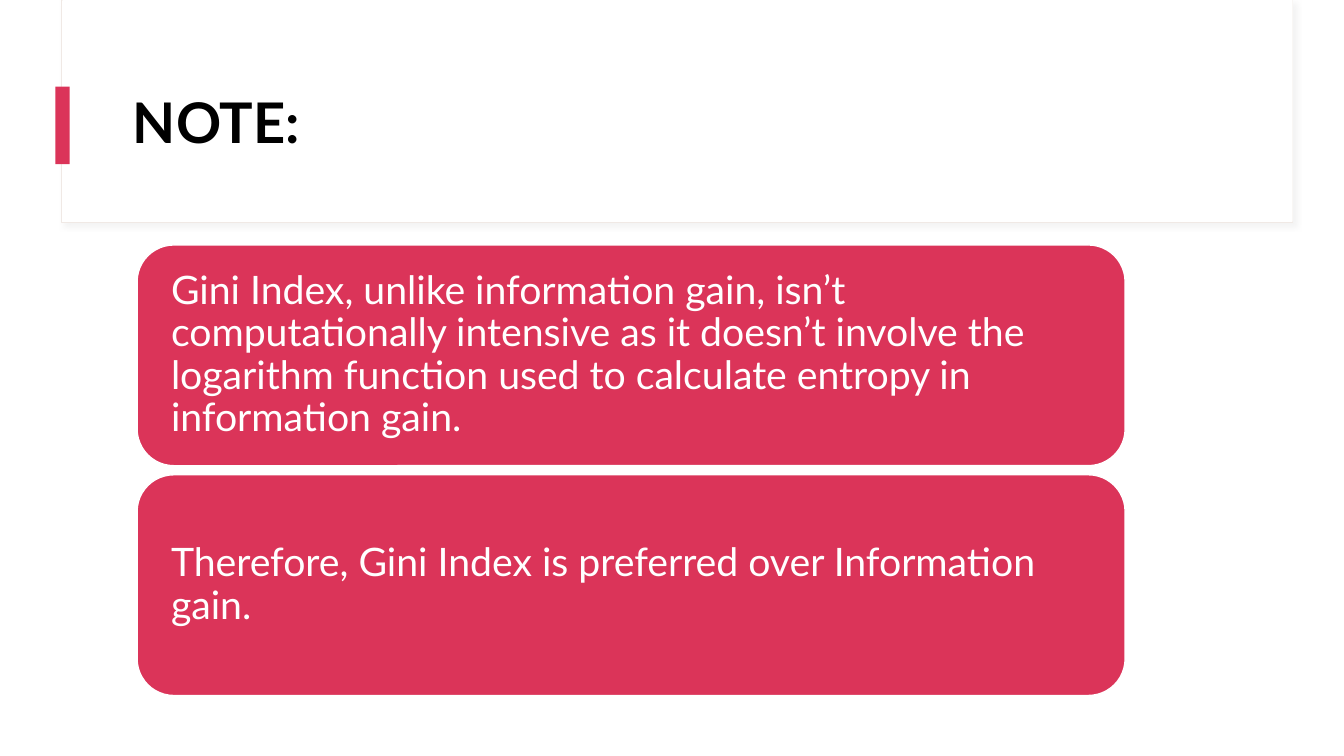
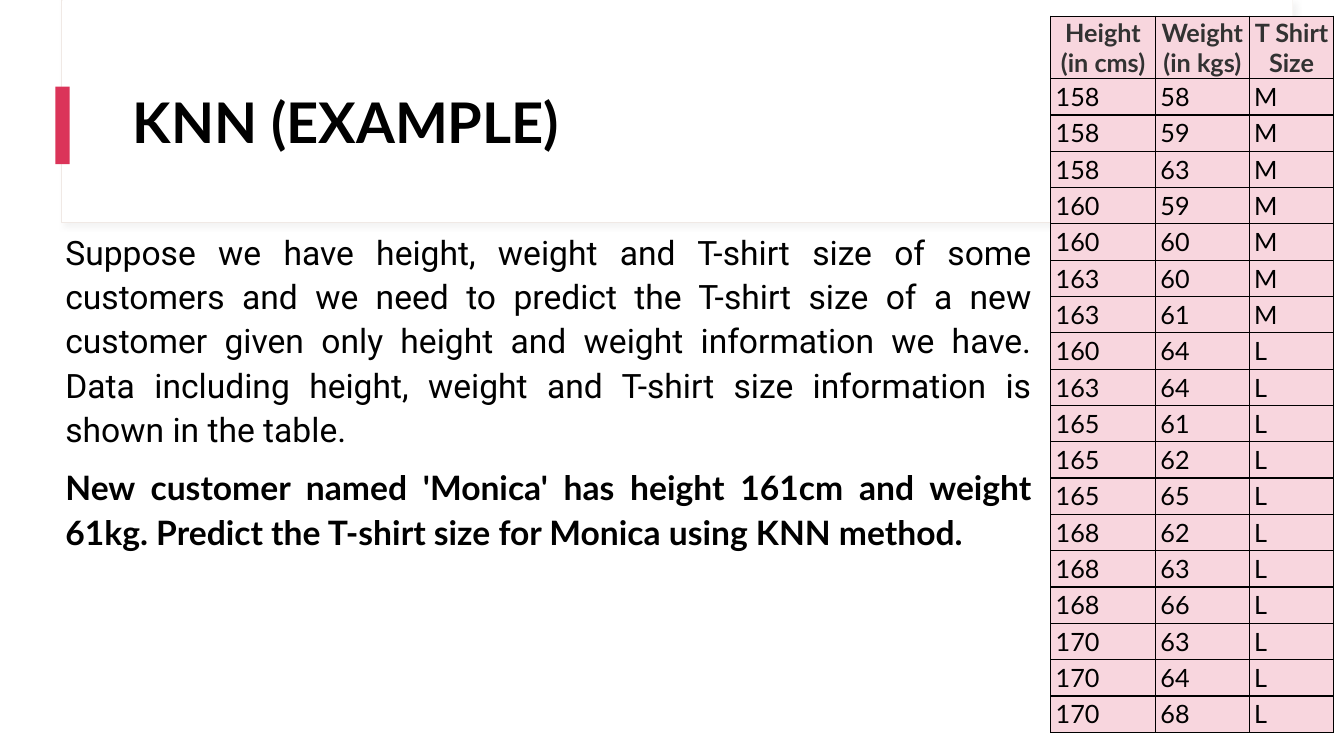
from lxml.etree import SubElement
from pptx import Presentation
from pptx.dml.color import RGBColor
from pptx.enum.shapes import MSO_SHAPE as SHAPE
from pptx.enum.text import MSO_ANCHOR as ANCHOR, PP_ALIGN as ALIGN
from pptx.oxml.ns import qn
from pptx.util import Emu, Pt

PX = 9144
COLORS = {"white": "FFFFFF", "accent": "DB3459", "frame": "F0E9E5", "shadow": "D9D9D9",
          "black": "000000", "header": "323232", "cell": "F8D6DE"}
FONT = "Lato"

CARDS = [
    "Gini Index, unlike information gain, isn’t computationally intensive as it doesn’t involve "
    "the logarithm function used to calculate entropy in information gain.",
    "Therefore, Gini Index is preferred over Information gain.",
]
EXAMPLE = [
    ("Suppose we have height, weight and T-shirt size of some customers and we need to predict "
     "the T-shirt size of a new customer given only height and weight information we have. "
     "Data including height, weight and T-shirt size information is shown in the table.",
     "Roboto", False),
    ("New customer named 'Monica' has height 161cm and weight 61kg. "
     "Predict the T-shirt size for Monica using KNN method.", FONT, True),
]
HEADERS = ["Height (in cms)", "Weight (in kgs)", "T Shirt Size"]
SIZES = [
    (158, 58, "M"), (158, 59, "M"), (158, 63, "M"), (160, 59, "M"), (160, 60, "M"),
    (163, 60, "M"), (163, 61, "M"), (160, 64, "L"), (163, 64, "L"), (165, 61, "L"),
    (165, 62, "L"), (165, 65, "L"), (168, 62, "L"), (168, 63, "L"), (168, 66, "L"),
    (170, 63, "L"), (170, 64, "L"), (170, 68, "L"),
]


def px(n):
    """Turn px into EMU."""
    return Emu(n * PX)


def rgb(name):
    """Look up a named colour."""
    return RGBColor.from_string(COLORS[name])


def style(p, size, color, bold=False, font=FONT, align=ALIGN.LEFT, spacing=None):
    """Format a paragraph and its runs."""
    p.alignment = align
    if spacing:
        p.line_spacing = spacing
    for r in p.runs:
        r.font.name, r.font.size, r.font.bold = font, Pt(size), bold
        r.font.color.rgb = rgb(color)


def add_box(slide, box, fill, line=None, width=1, kind=SHAPE.RECTANGLE):
    """Add a filled shape without a shadow."""
    sp = slide.shapes.add_shape(kind, *map(px, box))
    sp.shadow.inherit = False
    sp.fill.solid()
    sp.fill.fore_color.rgb = rgb(fill)
    if line:
        sp.line.color.rgb = rgb(line)
        sp.line.width = Pt(width)
    else:
        sp.line.fill.background()
    return sp


def add_text(slide, box, anchor=ANCHOR.TOP):
    """Add a wrapping text box and return its text frame."""
    tf = slide.shapes.add_textbox(*map(px, box)).text_frame
    tf.word_wrap = True
    tf.vertical_anchor = anchor
    return tf


def add_shadow(sp):
    """Give a shape a soft shadow to the lower right."""
    effects = sp._element.spPr.find(qn("a:effectLst"))
    shadow = SubElement(effects, qn("a:outerShdw"), blurRad=str(Pt(4)), dist=str(Pt(3)),
                        dir="2700000", algn="tl", rotWithShape="0")
    color = SubElement(shadow, qn("a:srgbClr"), val=COLORS["shadow"])
    SubElement(color, qn("a:alpha"), val="30000")


def add_titled_slide(prs, title):
    """Add a slide with the framed header, accent bar and title."""
    slide = prs.slides.add_slide(prs.slide_layouts[6])
    add_shadow(add_box(slide, (61, 0, 1221, 221), "white", "frame", 0.75))
    add_box(slide, (62, 0, 1220, 220), "white")
    add_box(slide, (55, 86, 14, 77), "accent")
    tf = add_text(slide, (122, 60, 1112, 129), ANCHOR.MIDDLE)
    tf.text = title
    style(tf.paragraphs[0], 40, "black", True, spacing=0.9)
    return slide


def add_cards(slide, box, texts, gap=9, inset=23):
    """Stack equal rounded cards in a box."""
    x, y, w, h = box
    card_h = (h - gap * (len(texts) - 1)) // len(texts)
    for i, text in enumerate(texts):
        sp = add_box(slide, (x, y + i * (card_h + gap), w, card_h), "accent", "white",
                     kind=SHAPE.ROUNDED_RECTANGLE)
        tf = sp.text_frame
        tf.word_wrap = True
        tf.vertical_anchor = ANCHOR.MIDDLE
        tf.margin_left = tf.margin_right = tf.margin_top = tf.margin_bottom = px(inset)
        tf.text = text
        style(tf.paragraphs[0], 28, "white", spacing=0.9)


def add_body(slide, box, items):
    """Write justified paragraphs in a box."""
    tf = add_text(slide, box)
    for i, (text, font, bold) in enumerate(items):
        p = tf.add_paragraph() if i else tf.paragraphs[0]
        p.text = text
        if i:
            p.space_before = Pt(10)
        style(p, 24, "black", bold, font, ALIGN.JUSTIFY, 1.1)


def add_borders(cell):
    """Draw a thin black line on each side of a cell."""
    tc_pr = cell._tc.get_or_add_tcPr()
    for i, side in enumerate(("lnL", "lnR", "lnT", "lnB")):
        ln = tc_pr.makeelement(qn(f"a:{side}"), {"w": str(Pt(1))})
        fill = SubElement(ln, qn("a:solidFill"))
        SubElement(fill, qn("a:srgbClr"), val=COLORS["black"])
        tc_pr.insert(i, ln)


def fill_cell(cell, value, is_header):
    """Write and format one table cell."""
    cell.margin_left = cell.margin_right = px(1 if is_header else 5)
    cell.margin_top = cell.margin_bottom = px(1 if is_header else 3)
    cell.vertical_anchor = ANCHOR.MIDDLE
    cell.fill.solid()
    cell.fill.fore_color.rgb = rgb("cell")
    add_borders(cell)
    cell.text = str(value)
    style(cell.text_frame.paragraphs[0], 18, "header" if is_header else "black", is_header,
          align=ALIGN.CENTER if is_header else ALIGN.LEFT)


def add_size_table(slide, box, widths, header_h=62):
    """Add the table of heights, weights and sizes."""
    rows = [HEADERS, *SIZES]
    frame = slide.shapes.add_table(len(rows), len(HEADERS), *map(px, box))
    table = frame.table
    table.first_row = table.horz_banding = False
    for column, width in zip(table.columns, widths):
        column.width = px(width)
    row_h = (box[3] - header_h) // len(SIZES)
    for i, values in enumerate(rows):
        table.rows[i].height = px(row_h if i else header_h)
        for j, value in enumerate(values):
            fill_cell(table.cell(i, j), value, i == 0)


def build_note(prs):
    """Build the note slide."""
    slide = add_titled_slide(prs, "NOTE:")
    add_cards(slide, (136, 243, 980, 447), CARDS)


def build_example(prs):
    """Build the KNN example slide."""
    slide = add_titled_slide(prs, "KNN (EXAMPLE)")
    add_body(slide, (55, 221, 978, 404), EXAMPLE)
    add_size_table(slide, (1042, 16, 281, 719), (104, 93, 84))


def main():
    """Build and save the presentation."""
    prs = Presentation()
    prs.slide_width, prs.slide_height = px(1333), px(750)
    build_note(prs)
    build_example(prs)
    prs.save("out.pptx")


if __name__ == "__main__":
    main()
